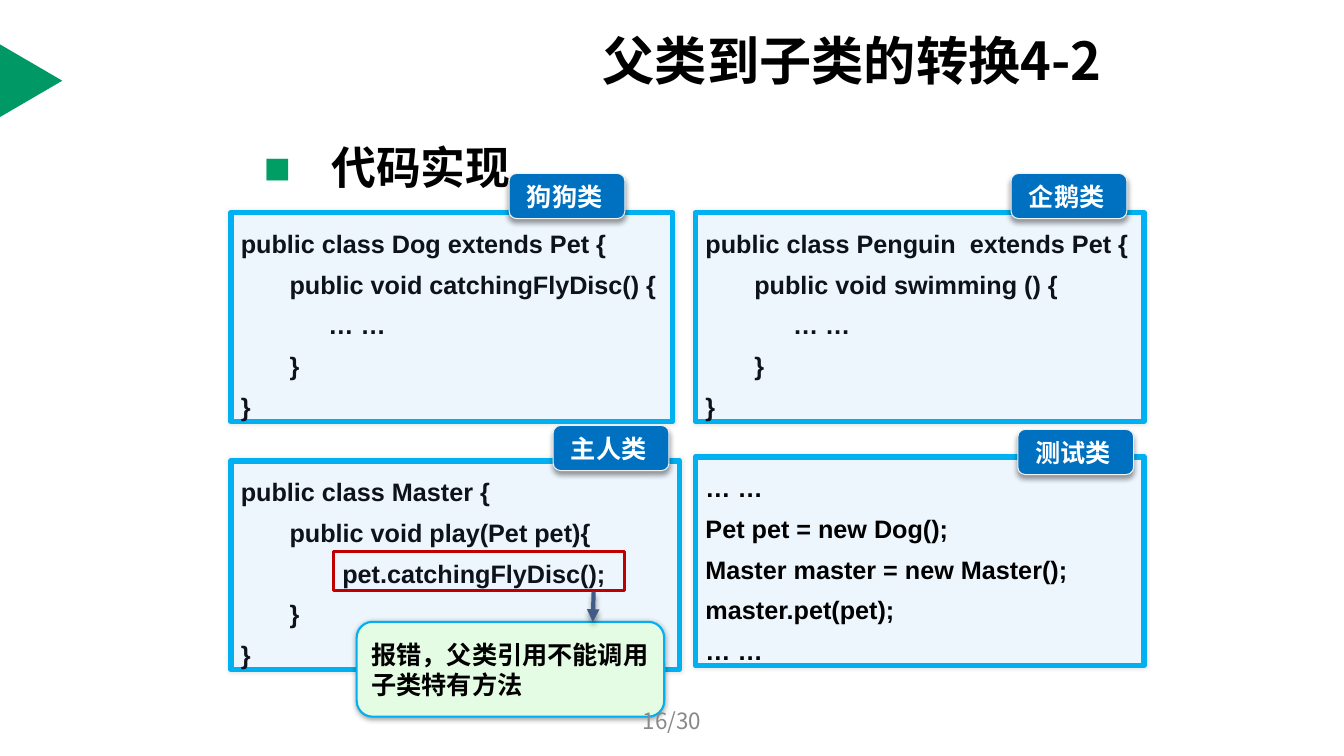
from lxml import etree
from pptx import Presentation
from pptx.dml.color import RGBColor
from pptx.enum.shapes import MSO_CONNECTOR as Connector, MSO_SHAPE as Shape
from pptx.enum.text import MSO_ANCHOR as Anchor, MSO_AUTO_SIZE as AutoSize, PP_ALIGN as Align
from pptx.oxml.ns import qn
from pptx.util import Cm, Pt

# Content
TITLE = "父类到子类的转换4-2"
HEADING = "代码实现"
ERROR_NOTE = "报错，父类引用不能调用子类特有方法"
PAGE_NUMBER = "16/30"
INK, BLACK = "0D121B", "000000"
CJK = "Noto Sans CJK SC"

# Code cards: label, label position, box (left, top, width), text colour, lines
CARDS = [
    ("狗狗类", (12.83, 4.37), (5.82, 5.36, 11.13), INK,
     ["public class Dog extends Pet {", "\tpublic void catchingFlyDisc() {",
      "\t\t … …", "\t}", "}"]),
    ("企鹅类", (25.48, 4.37), (17.53, 5.36, 11.3), INK,
     ["public class Penguin  extends Pet {", "\tpublic void swimming () {",
      "\t\t … …", "\t}", "}"]),
    ("主人类", (13.94, 10.72), (5.82, 11.61, 11.3), INK,
     ["public class Master {", "\tpublic void play(Pet pet){",
      "\t\t   pet.catchingFlyDisc();", "\t}", "}"]),
    ("测试类", (25.65, 10.82), (17.53, 11.51, 11.3), BLACK,
     ["… …", "Pet pet = new Dog();", "Master master = new Master();",
      "master.pet(pet);", "… …"]),
]
CARD_HEIGHT = 5.26
LABEL_SIZE = (2.92, 1.14)
TAB_STOPS = (1.23, 2.03)

presentation = Presentation()
presentation.slide_width, presentation.slide_height = Cm(33.87), Cm(19.05)
slide = presentation.slides.add_slide(presentation.slide_layouts[6])


def color(hex_code):
    return RGBColor.from_string(hex_code)


def child(parent, tag, **attributes):
    return etree.SubElement(parent, qn(tag), {k: str(v) for k, v in attributes.items()})


def add_shadow(item, alpha, blur, distance, direction):
    """Alpha in percent, blur and distance in points, direction in degrees."""
    properties = item._element.spPr
    for old in properties.findall(qn("a:effectLst")):
        properties.remove(old)
    shadow = child(child(properties, "a:effectLst"), "a:outerShdw", blurRad=Pt(blur),
                   dist=Pt(distance), dir=direction * 60000, algn="ctr", rotWithShape=0)
    child(child(shadow, "a:srgbClr", val="000000"), "a:alpha", val=alpha * 1000)


def add_box(kind, box, fill=None, line=None, width=0, corner=None):
    shape = slide.shapes.add_shape(kind, *map(Cm, box))
    shape.shadow.inherit = False
    if corner is not None:
        shape.adjustments[0] = corner
    if fill:
        shape.fill.solid()
        shape.fill.fore_color.rgb = color(fill)
    else:
        shape.fill.background()
    if line:
        shape.line.color.rgb = color(line)
        shape.line.width = Pt(width)
    else:
        shape.line.fill.background()
    return shape


def write(shape, lines, size, ink, font="Arial", bold=True, anchor=Anchor.TOP,
          align=Align.LEFT, wrap=True):
    frame = shape.text_frame
    frame.word_wrap, frame.vertical_anchor = wrap, anchor
    for number, line in enumerate(lines):
        paragraph = frame.add_paragraph() if number else frame.paragraphs[0]
        paragraph.text = line
        paragraph.alignment = align
        paragraph.font.name, paragraph.font.size = font, Pt(size)
        paragraph.font.bold = bold
        paragraph.font.color.rgb = color(ink)
        child(paragraph.font._element, "a:ea", typeface=CJK)
    return frame


def add_text(box, *args, **options):
    return write(slide.shapes.add_textbox(*map(Cm, box)), *args, **options)


# Side marker, title and heading
marker = add_box(Shape.ISOSCELES_TRIANGLE, (-0.13, 1.25, 1.83, 1.57), "009966")
marker.rotation = 90
add_text((14.94, 0.79, 14.2, 1.45), [TITLE], 37.3, BLACK, CJK, anchor=Anchor.MIDDLE)
heading = add_text((6.4, 3.56, 21.23, 2.21), [HEADING], 32, BLACK, CJK).paragraphs[0]
heading.line_spacing = 0.9
bullet = heading._p.get_or_add_pPr()
bullet.set("marL", str(Cm(1.7)))
bullet.set("indent", str(Cm(-1.7)))
bullet_color = etree.Element(qn("a:buClr"))
child(bullet_color, "a:srgbClr", val="009E64")
bullet_font = etree.Element(qn("a:buFont"), typeface="Arial")
bullet_char = etree.Element(qn("a:buChar"), char="■")
for part in (bullet_color, bullet_font, bullet_char):
    bullet.find(qn("a:defRPr")).addprevious(part)

# Code cards with their labels
for label, label_position, (left, top, width), ink, lines in CARDS:
    card = add_box(Shape.ROUNDED_RECTANGLE, (left, top, width, CARD_HEIGHT),
                   "EDF5FD", "00B0F0", 4, 0)
    add_shadow(card, 10, 3, 0, 0)
    for paragraph in write(card, lines, 18, ink).paragraphs:
        paragraph.line_spacing = 1.35
        tabs = etree.Element(qn("a:tabLst"))
        for stop in TAB_STOPS:
            child(tabs, "a:tab", pos=Cm(stop), algn="l")
        paragraph._p.pPr.find(qn("a:defRPr")).addprevious(tabs)

    tag = add_box(Shape.ROUNDED_RECTANGLE, (*label_position, *LABEL_SIZE),
                  "0070C0", "F2F2F2", 0.75, 0.167)
    add_shadow(tag, 40, 4, 3, 90)
    frame = write(tag, [" " + label], 18, "FFFFFF", anchor=Anchor.BOTTOM, wrap=False)
    frame.auto_size = AutoSize.SHAPE_TO_FIT_TEXT
    indent = frame.paragraphs[0]._p.pPr
    indent.set("marL", str(Cm(0.79)))
    indent.set("indent", str(Cm(-0.79)))

# Highlighted call, error note and arrow
add_box(Shape.RECTANGLE, (8.41, 13.89, 7.34, 0.99), line="C00000", width=2.25)
note = add_box(Shape.ROUNDED_RECTANGLE, (8.99, 15.67, 7.75, 2.39),
               "E4FCE4", "00B0F0", 1.5, 0.167)
add_shadow(note, 40, 4, 1, 90)
write(note, [ERROR_NOTE], 18, BLACK, anchor=Anchor.MIDDLE)

arrow = slide.shapes.add_connector(Connector.STRAIGHT, Cm(14.96), Cm(14.91),
                                   Cm(14.94), Cm(15.67))
arrow.line.color.rgb = color("415A86")
arrow.line.width = Pt(3)
child(arrow.line._get_or_add_ln(), "a:tailEnd", type="triangle")
add_shadow(arrow, 40, 4, 3, 90)

# Page number
add_text((11.58, 17.65, 10.72, 1.02), [PAGE_NUMBER], 16, "898989", CJK, bold=False,
         anchor=Anchor.MIDDLE, align=Align.CENTER)

presentation.save("out.pptx")
